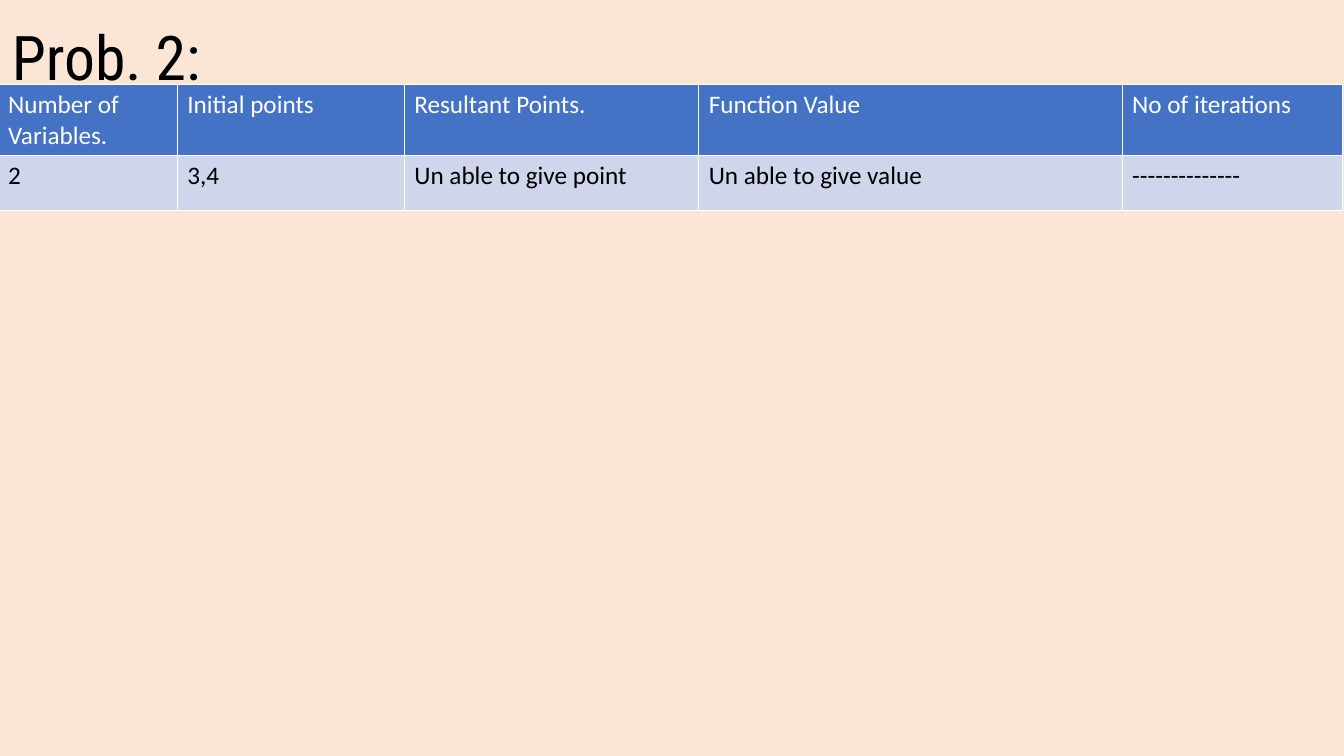
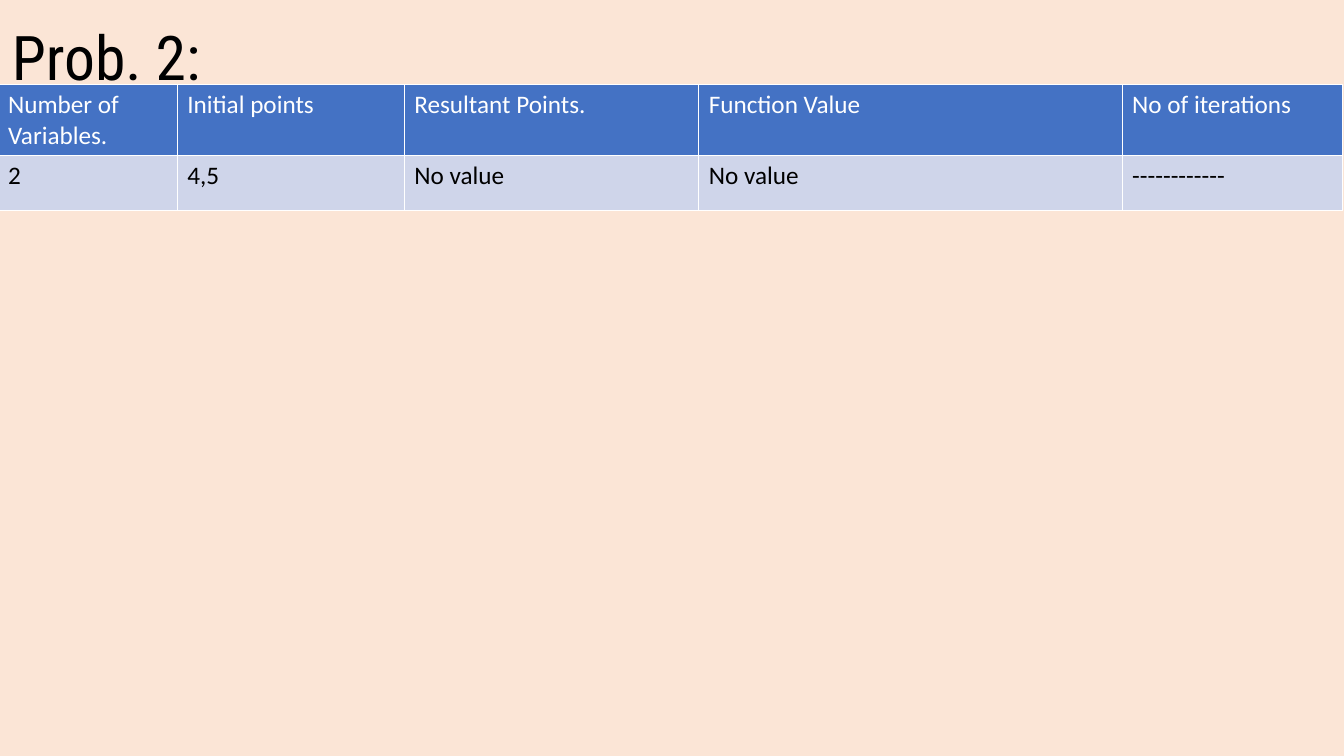
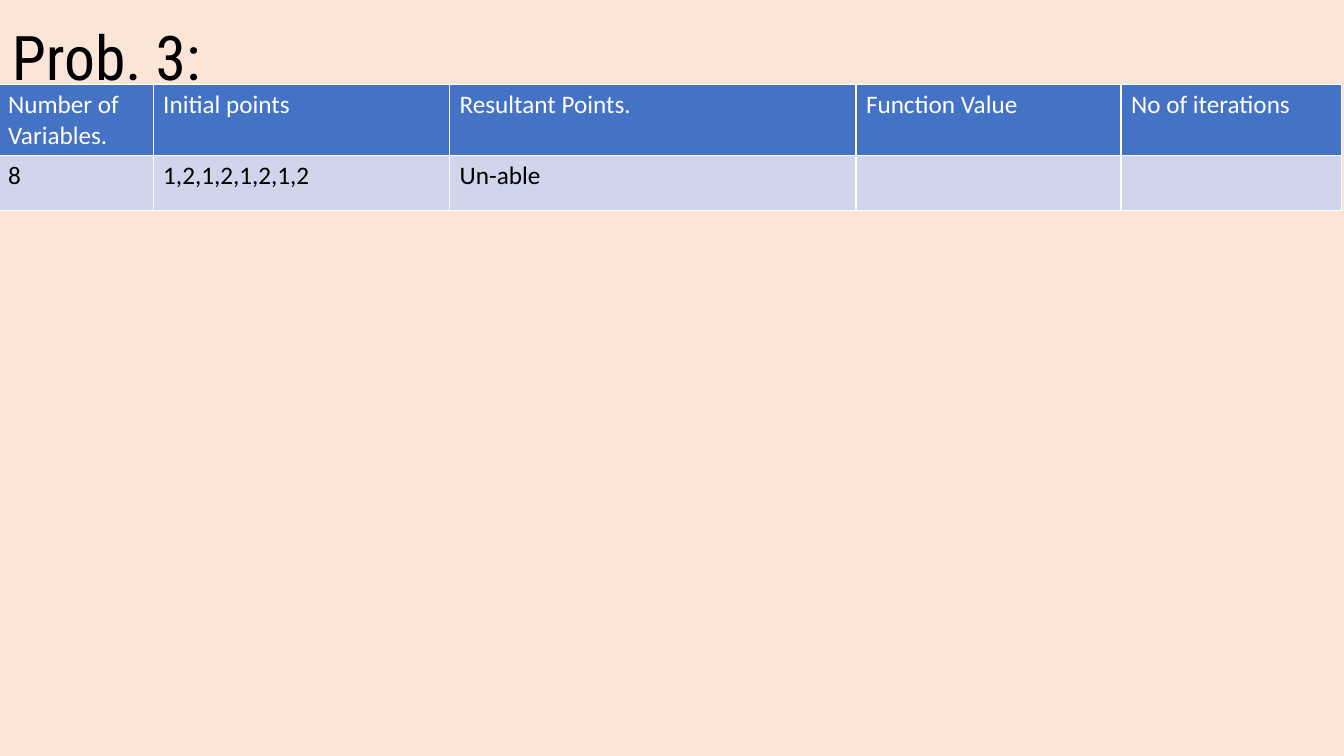
from pptx import Presentation
from pptx.dml.color import RGBColor
from pptx.enum.text import MSO_ANCHOR
from pptx.util import Cm, Pt

PEACH = RGBColor(0xFB, 0xE5, 0xD6)
BLUE = RGBColor(0x44, 0x72, 0xC4)
PALE_BLUE = RGBColor(0xCF, 0xD5, 0xEA)
WHITE = RGBColor(0xFF, 0xFF, 0xFF)
BLACK = RGBColor(0, 0, 0)

TITLE_FONT = {"name": "Roboto Condensed", "size": Pt(44)}
CELL_FONT = {"name": "Calibri", "size": Pt(18), "bold": False}
HEADER = ["Number of Variables.", "Initial points", "Resultant Points.",
          "Function Value", "No of iterations"]
ROW_HEIGHTS = [1.78, 1.4]
ROW_COLOURS = [(BLUE, WHITE), (PALE_BLUE, BLACK)]
PROB_2_WIDTHS = [4.52, 5.72, 7.42, 10.67, 5.56]
PROB_3_WIDTHS = [3.91, 7.47, 10.24, 6.68, 5.56]

SLIDES = [
    ("Prob. 2:", PROB_2_WIDTHS,
     ["2", "3,4", "Un able to give point", "Un able to give value", "--------------"]),
    ("Prob. 2:", PROB_2_WIDTHS,
     ["2", "4,5", "No value", "No value", "------------"]),
    ("Prob. 3:", PROB_3_WIDTHS,
     ["8", "1,2,1,2,1,2,1,2", "Un-able", "", ""]),
]


def add_text(p, text, font, colour):
    r = p.add_run()
    r.text = text
    for name, value in font.items():
        setattr(r.font, name, value)
    r.font.color.rgb = colour


prs = Presentation()
prs.slide_width = Cm(33.87)
prs.slide_height = Cm(19.05)
fill = prs.slide_master.background.fill
fill.solid()
fill.fore_color.rgb = PEACH

for title, widths, values in SLIDES:
    s = prs.slides.add_slide(prs.slide_layouts[6])

    sp = s.shapes.add_textbox(Cm(0.05), Cm(0.36), Cm(31.12), Cm(2.31))
    tf = sp.text_frame
    tf.word_wrap = True
    tf.vertical_anchor = MSO_ANCHOR.MIDDLE
    p = tf.paragraphs[0]
    p.line_spacing = 0.9
    add_text(p, title, TITLE_FONT, BLACK)

    table = s.shapes.add_table(2, len(HEADER), Cm(-0.05), Cm(2.13),
                               Cm(sum(widths)), Cm(sum(ROW_HEIGHTS))).table
    for column, width in zip(table.columns, widths):
        column.width = Cm(width)
    for row, height, texts, (back, ink) in zip(
            table.rows, ROW_HEIGHTS, [HEADER, values], ROW_COLOURS):
        row.height = Cm(height)
        for cell, text in zip(row.cells, texts):
            cell.fill.solid()
            cell.fill.fore_color.rgb = back
            if text:
                add_text(cell.text_frame.paragraphs[0], text, CELL_FONT, ink)

prs.save("out.pptx")
